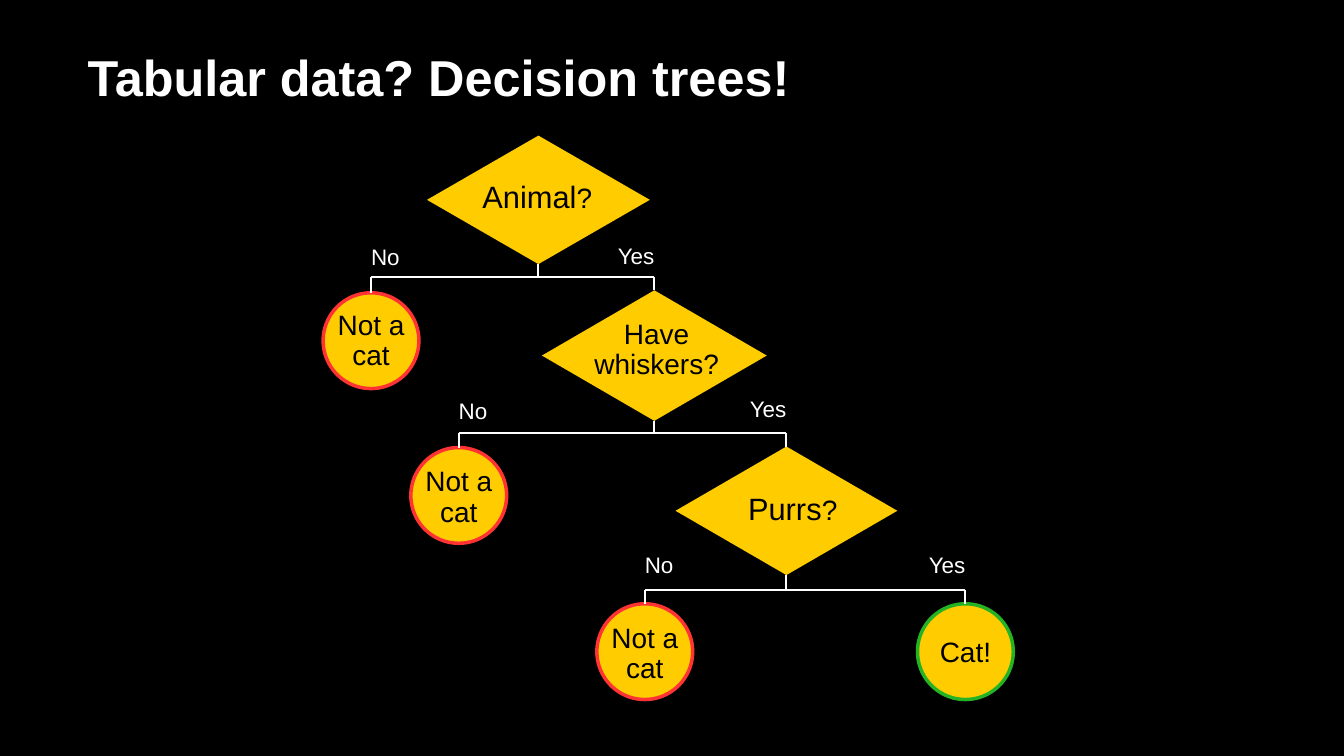
from lxml import etree
from pptx import Presentation
from pptx import util as u
from pptx.dml.color import RGBColor
from pptx.enum import shapes, text
from pptx.oxml.ns import qn

PX = 9144  # EMU per px, 100 px to the inch
FONT = "Arial"
BLACK, WHITE, YELLOW, RED, GREEN = "000000", "FFFFFF", "FFCC00", "FF3333", "23B324"
DIAMOND, CIRCLE = shapes.MSO_SHAPE.DIAMOND, shapes.MSO_SHAPE.OVAL
LEFT, CENTER, RIGHT = text.PP_ALIGN.LEFT, text.PP_ALIGN.CENTER, text.PP_ALIGN.RIGHT
TOP, MIDDLE = text.MSO_ANCHOR.TOP, text.MSO_ANCHOR.MIDDLE


def px(n):
    return u.Emu(n * PX)


def rgb(color):
    return RGBColor.from_string(color)


class Canvas:
    """Holds the style and the current slide."""

    def __init__(self, slide, background):
        self.s = slide
        fill = slide.background.fill
        fill.solid()
        fill.fore_color.rgb = rgb(background)

    def text(self, box, runs, color, align=LEFT, anchor=TOP, bold=False, spacing=1.0,
             insets=(0, 0, 0, 0)):
        """Text box with one paragraph; runs are (words, points) pairs."""
        tf = self.s.shapes.add_textbox(*map(px, box)).text_frame
        tf.word_wrap = True
        tf.vertical_anchor = anchor
        tf.margin_left, tf.margin_top, tf.margin_right, tf.margin_bottom = map(px, insets)
        p = tf.paragraphs[0]
        p.alignment, p.line_spacing = align, spacing
        p.font.name, p.font.bold, p.font.color.rgb = FONT, bold, rgb(color)
        p.font.size = u.Pt(runs[0][1])
        for words, size in runs:
            r = p.add_run()
            r.text = words
            r.font.size = u.Pt(size)

    def node(self, kind, cx, top, w, h, outline=None):
        """Tree node centred on cx."""
        sp = self.s.shapes.add_shape(kind, *map(px, (cx - w // 2, top, w, h)))
        sp.shadow.inherit = False
        sp.fill.solid()
        sp.fill.fore_color.rgb = rgb(YELLOW)
        if outline:
            sp.line.color.rgb = rgb(outline)
            sp.line.width = u.Pt(5)
        else:
            sp.line.fill.background()
        return sp

    def line(self, x1, y1, x2, y2, begin=None, end=None):
        """Straight line; begin leaves a node's bottom, end enters a node's top."""
        c = self.s.shapes.add_connector(shapes.MSO_CONNECTOR.STRAIGHT,
                                        *map(px, (x1, y1, x2, y2)))
        c.line.color.rgb = rgb(WHITE)
        c.line.width = u.Pt(3)
        etree.SubElement(c._element.spPr, qn("a:effectLst"))
        if begin is not None:
            c.begin_connect(begin, 2)
        if end is not None:
            c.end_connect(end, 0)

    def caption(self, box, runs):
        """Words laid over a node."""
        self.text(box, runs, BLACK, CENTER, MIDDLE, spacing=0.9, insets=(12,) * 4)

    def branch(self, parent, no, yes, bar, no_top, yes_top):
        """Fork below a question; no and yes are (node, centre x, top)."""
        (_, cx, bottom), (_, left, _), (_, right, _) = parent, no, yes
        self.line(cx, bottom, cx, bar, begin=parent[0])
        self.line(left, bar, right, bar)
        for child, x, top in (no, yes):
            self.line(x, bar, x, top, end=child)
        self.text((left, no_top, 100, 100), [("No", 32)], WHITE)
        self.text((right - 100, yes_top, 100, 100), [("Yes", 32)], WHITE, RIGHT)


def main():
    prs = Presentation()
    prs.slide_width, prs.slide_height = px(2666), px(1500)
    c = Canvas(prs.slides.add_slide(prs.slide_layouts[6]), BLACK)

    # Title
    c.text((174, 60, 2322, 159), [("Tabular data? Decision trees!", 72)], WHITE,
           anchor=MIDDLE, bold=True, insets=(0, 22, 0, 0))

    # Questions: centre x, top, size, caption box, caption runs
    questions = [
        (1068, 269, 442, 255, (901, 299, 330, 189), [("Animal", 44), ("?", 40)]),
        (1298, 576, 446, 259, (1161, 601, 283, 189), [("Have whiskers?", 40)]),
        (1560, 886, 440, 255, (1431, 919, 283, 189), [("Purrs", 44), ("?", 40)]),
    ]
    diamonds = []
    for cx, top, w, h, box, runs in questions:
        diamonds.append((c.node(DIAMOND, cx, top, w, h), cx, top))
        c.caption(box, runs)

    # Answers: centre x, top, outline, caption top, caption height, words
    answers = [
        (736, 581, RED, 615, 126, "Not a cat"),
        (910, 888, RED, 925, 126, "Not a cat"),
        (1279, 1198, RED, 1235, 126, "Not a cat"),
        (1915, 1198, GREEN, 1201, 189, "Cat!"),
    ]
    circles = []
    for cx, top, outline, text_top, text_h, words in answers:
        circles.append((c.node(CIRCLE, cx, top, 190, 190, outline), cx, top))
        c.caption((cx - 101, text_top, 202, text_h), [(words, 40)])

    # Branches: bar y, tops of the No and Yes labels
    forks = [(549, 482, 480), (859, 788, 784), (1170, 1094, 1094)]
    yes_nodes = diamonds[1:] + circles[3:]
    for (sp, cx, top), question, no, yes, fork in zip(diamonds, questions, circles,
                                                      yes_nodes, forks):
        c.branch((sp, cx, top + question[3]), no, yes, *fork)

    prs.save("out.pptx")


if __name__ == "__main__":
    main()
